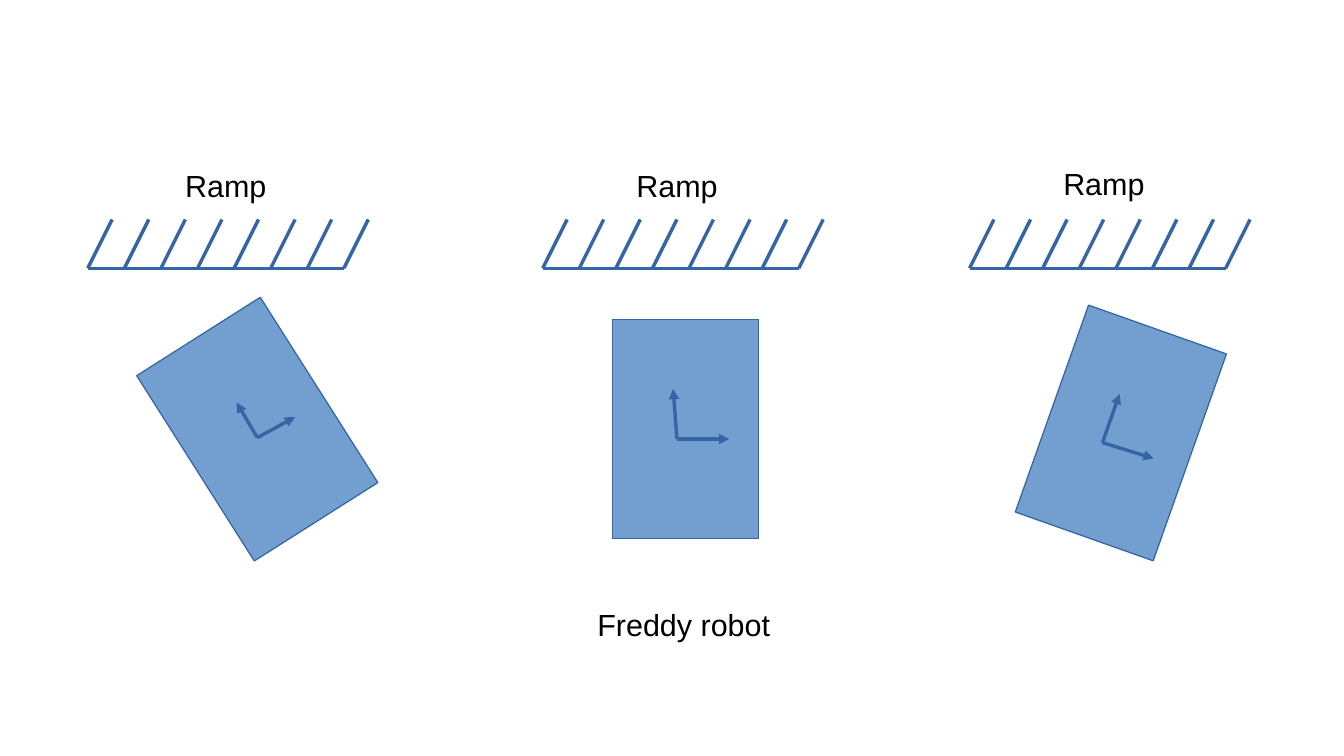
import pptx
import pptx.util
import pptx.dml.color
import pptx.enum.shapes
import pptx.oxml
import pptx.oxml.ns
from pptx.util import Inches

BLUE = "3465A4"
RAMP_Y, HATCH_TOP = 2.2, 1.8
HATCH_STEP, HATCH_LEAN, HATCHES = 0.3, 0.2, 8


def color(hex_string):
    return pptx.dml.color.RGBColor.from_string(hex_string)


def add_line(start, end, arrow=False):
    """Draw a hairline between two points in inches, optionally with an arrowhead."""
    s = slide.shapes.add_connector(
        pptx.enum.shapes.MSO_CONNECTOR.STRAIGHT,
        Inches(start[0]), Inches(start[1]), Inches(end[0]), Inches(end[1]))
    s.line.color.rgb = color(BLUE)
    s.line.width = pptx.util.Pt(0)
    if arrow:
        head = pptx.oxml.parse_xml(
            f'<a:tailEnd {pptx.oxml.ns.nsdecls("a")} type="triangle"/>')
        s.line._get_or_add_ln().append(head)
    s._element.spPr.append(
        pptx.oxml.parse_xml(f'<a:effectLst {pptx.oxml.ns.nsdecls("a")}/>'))


prs = pptx.Presentation()
prs.slide_width, prs.slide_height = Inches(11.02), Inches(6.2)
slide = prs.slides.add_slide(prs.slide_layouts[6])

# ramp left, robot left, robot top, robot rotation, axes origin, axes tips
scenes = [
    (0.72, 1.51, 2.62, 327.6, (2.11, 3.59), [(2.42, 3.42), (1.94, 3.3)]),
    (4.45, 5.02, 2.62, 0, (5.55, 3.6), [(5.98, 3.6), (5.52, 3.19)]),
    (7.95, 8.59, 2.65, 199.5, (9.04, 3.63), [(9.46, 3.76), (9.18, 3.23)]),
]
for ramp_x, robot_x, robot_y, rotation, origin, tips in scenes:
    add_line((ramp_x, RAMP_Y), (ramp_x + (HATCHES - 1) * HATCH_STEP, RAMP_Y))
    for i in range(HATCHES):
        x = ramp_x + i * HATCH_STEP
        add_line((x, RAMP_Y), (x + HATCH_LEAN, HATCH_TOP))

    robot = slide.shapes.add_shape(
        pptx.enum.shapes.MSO_SHAPE.RECTANGLE,
        Inches(robot_x), Inches(robot_y), Inches(1.2), Inches(1.8))
    robot.rotation = rotation
    robot.shadow.inherit = False
    robot.fill.solid()
    robot.fill.fore_color.rgb = color("729FCF")
    robot.line.color.rgb = color(BLUE)
    robot.line.width = pptx.util.Pt(0)

    for tip in tips:
        add_line(origin, tip, arrow=True)

labels = [
    ("Ramp", 1.42, 1.32, 1, 0.38),
    ("Ramp", 5.12, 1.32, 1, 0.38),
    ("Ramp", 8.62, 1.3, 1, 0.38),
    ("Freddy robot", 4.8, 4.92, 1.9, 0.48),
]
for text, left, top, width, height in labels:
    tf = slide.shapes.add_textbox(
        Inches(left), Inches(top), Inches(width), Inches(height)).text_frame
    tf.word_wrap = True
    tf.text = text
    r = tf.paragraphs[0].runs[0]
    r.font.name = "Arial"
    r.font.size = pptx.util.Pt(18)
    r.font.color.rgb = color("000000")

prs.save("out.pptx")
